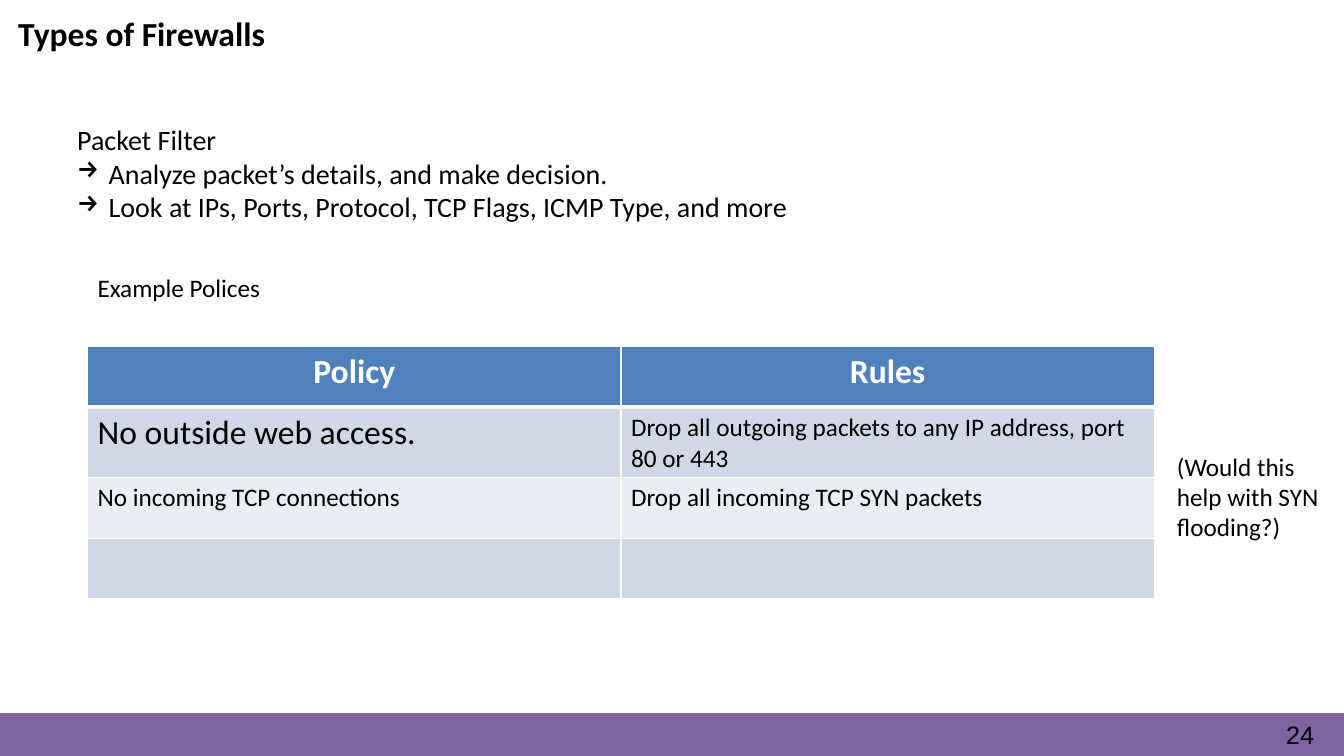
import pptx
import pptx.dml.color
import pptx.enum.shapes
import pptx.enum.text
import pptx.oxml.ns
import pptx.util
from lxml import etree

Pt = pptx.util.Pt
RGBColor = pptx.dml.color.RGBColor
ALIGN = pptx.enum.text.PP_ALIGN

BLACK = RGBColor(0x00, 0x00, 0x00)
WHITE = RGBColor(0xFF, 0xFF, 0xFF)
PURPLE = RGBColor(0x80, 0x63, 0xA1)
HEADER_BLUE = RGBColor(0x4F, 0x81, 0xBD)
BANDS = (RGBColor(0xD0, 0xD8, 0xE8), RGBColor(0xE9, 0xED, 0xF4))

SLIDE_WIDTH, SLIDE_HEIGHT = 960, 540
FOOTER_TOP = 510
TITLE = "Types of Firewalls"
PAGE_NUMBER = "24"
FILTER_HEADING = "Packet Filter"
FILTER_POINTS = [
    "Analyze packet’s details, and make decision.",
    "Look at IPs, Ports, Protocol, TCP Flags, ICMP Type, and more",
]
TABLE_CAPTION = "Example Polices"
SIDE_NOTE = "(Would this help with SYN flooding?)"
# Each cell is (text, size)
POLICIES = [
    [("Policy", 24), ("Rules", 24)],
    [("No outside web access.", 24),
     ("Drop all outgoing packets to any IP address, port 80 or 443", 18)],
    [("No incoming TCP connections", 18), ("Drop all incoming TCP SYN packets", 18)],
    [("", 18), ("", 18)],
]
TABLE_LEFT, TABLE_TOP, TABLE_WIDTH, ROW_HEIGHT = 62.6, 247.7, 762, 43.2


def style(paragraph, size, color=BLACK, bold=False, name="Calibri"):
    font = paragraph.font
    font.name, font.size, font.bold = name, Pt(size), bold
    font.color.rgb = color


def add_text(page, bounds, lines, size, wrap=False):
    box = page.shapes.add_textbox(*map(Pt, bounds))
    frame = box.text_frame
    frame.text = "\n".join(lines)
    frame.word_wrap = wrap
    frame.auto_size = pptx.enum.text.MSO_AUTO_SIZE.SHAPE_TO_FIT_TEXT
    for paragraph in frame.paragraphs:
        style(paragraph, size)
    return frame


def add_arrow_bullet(paragraph, indent):
    properties = paragraph._p.get_or_add_pPr()
    properties.set("marL", str(Pt(indent)))
    properties.set("indent", str(-Pt(indent)))
    bullet = etree.Element(pptx.oxml.ns.qn("a:buChar"), char="→")
    properties.insert(0, bullet)


def add_cell_borders(cell, bottom_width):
    """Draw white lines on all sides; they must precede the cell's fill."""
    properties = cell._tc.get_or_add_tcPr()
    widths = {"a:lnL": 1, "a:lnR": 1, "a:lnT": 1, "a:lnB": bottom_width}
    for position, (side, width) in enumerate(widths.items()):
        line = etree.Element(pptx.oxml.ns.qn(side), w=str(Pt(width)))
        fill = etree.SubElement(line, pptx.oxml.ns.qn("a:solidFill"))
        etree.SubElement(fill, pptx.oxml.ns.qn("a:srgbClr"), val=str(WHITE))
        properties.insert(position, line)


def add_footer(page):
    band = page.shapes.add_shape(
        pptx.enum.shapes.MSO_SHAPE.RECTANGLE, 0, Pt(FOOTER_TOP),
        Pt(SLIDE_WIDTH), Pt(SLIDE_HEIGHT - FOOTER_TOP))
    band.shadow.inherit = False
    band.fill.solid()
    band.fill.fore_color.rgb = PURPLE
    band.line.color.rgb = PURPLE
    band.line.width = Pt(1)

    frame = add_text(page, (918.7, 514.8, 38, 22), [PAGE_NUMBER], 18, wrap=True)
    frame.margin_left = frame.margin_right = frame.margin_top = frame.margin_bottom = 0
    number = frame.paragraphs[0]
    style(number, 18, name="Arial")
    number.line_spacing = Pt(20.9)


def add_title(page):
    title = page.shapes.title
    title.left, title.top, title.width, title.height = map(Pt, (5.8, 5.8, 225, 36))
    frame = title.text_frame
    frame.text = TITLE
    frame.word_wrap = False
    frame.auto_size = pptx.enum.text.MSO_AUTO_SIZE.SHAPE_TO_FIT_TEXT
    frame.vertical_anchor = pptx.enum.text.MSO_ANCHOR.TOP
    frame.paragraphs[0].alignment = ALIGN.LEFT
    style(frame.paragraphs[0], 24, bold=True)


def add_policy_table(page):
    rows, columns = len(POLICIES), len(POLICIES[0])
    table = page.shapes.add_table(
        rows, columns, Pt(TABLE_LEFT), Pt(TABLE_TOP),
        Pt(TABLE_WIDTH), Pt(ROW_HEIGHT * rows)).table
    for row, contents in enumerate(POLICIES):
        header = row == 0
        for column, (text, size) in enumerate(contents):
            cell = table.cell(row, column)
            cell.fill.solid()
            cell.fill.fore_color.rgb = HEADER_BLUE if header else BANDS[(row - 1) % 2]
            add_cell_borders(cell, 3 if header else 1)
            cell.text_frame.text = text
            paragraph = cell.text_frame.paragraphs[0]
            paragraph.alignment = ALIGN.CENTER if header else ALIGN.LEFT
            style(paragraph, size, WHITE if header else BLACK, header)


def main():
    deck = pptx.Presentation()
    deck.slide_width, deck.slide_height = Pt(SLIDE_WIDTH), Pt(SLIDE_HEIGHT)
    page = deck.slides.add_slide(deck.slide_layouts[5])
    add_footer(page)
    add_title(page)
    details = add_text(page, (48, 84, 597, 80), [FILTER_HEADING, *FILTER_POINTS], 20)
    for paragraph in details.paragraphs[1:]:
        add_arrow_bullet(paragraph, 22.5)
    add_text(page, (62.6, 191, 149, 29), [TABLE_CAPTION], 18)
    add_policy_table(page)
    add_text(page, (833.6, 318.5, 123, 94), [SIDE_NOTE], 18, wrap=True)
    deck.save("out.pptx")


if __name__ == "__main__":
    main()
